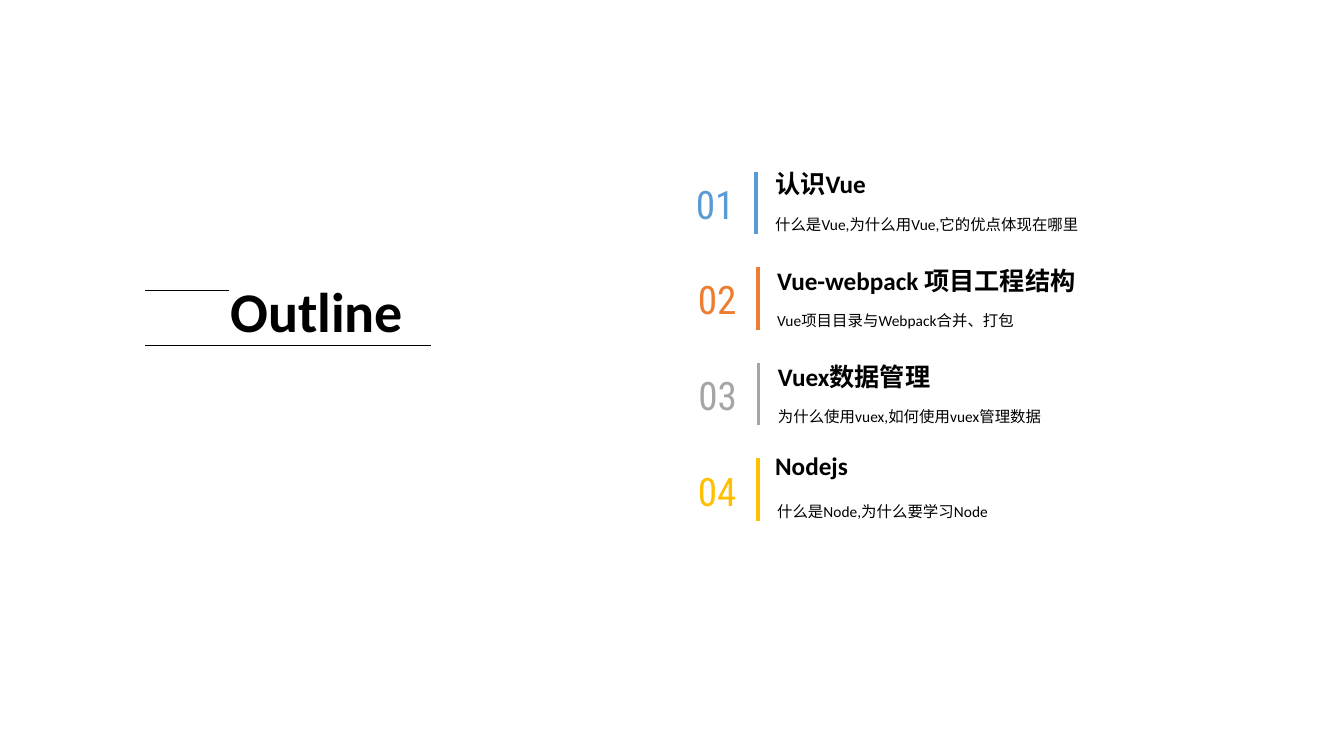
"""Builds an outline slide with four numbered chapters."""
from lxml import etree
from pptx import Presentation
from pptx.dml.color import RGBColor
from pptx.enum.shapes import MSO_CONNECTOR
from pptx.enum.text import MSO_ANCHOR, PP_ALIGN
from pptx.oxml.ns import qn
from pptx.util import Pt

STRAIGHT = MSO_CONNECTOR.STRAIGHT
TOP, MIDDLE, BOTTOM = MSO_ANCHOR.TOP, MSO_ANCHOR.MIDDLE, MSO_ANCHOR.BOTTOM
LEFT, CENTER = PP_ALIGN.LEFT, PP_ALIGN.CENTER
BLACK = "000000"

HEADING = "Outline"
HEADING_RULES = [(103.7, 163.4, 207.4), (103.7, 307.6, 247)]

# number, colour, title, description, number width, bar x, title x, description x, title bottom
CHAPTERS = [
    ("01", "5B9BD5", "认识Vue", "什么是Vue,为什么用Vue,它的优点体现在哪里", 36.7, 540, 546.6, 546.6, 23),
    ("02", "ED7D31", "Vue-webpack 项目工程结构", "Vue项目目录与Webpack合并、打包", 39.6, 541.4, 548, 548, 23.8),
    ("03", "A5A5A5", "Vuex数据管理", "为什么使用vuex,如何使用vuex管理数据", 40.3, 541.8, 548.6, 548.6, 23.8),
    ("04", "FFC000", "Nodejs", "什么是Node,为什么要学习Node", 39.6, 541.4, 546.6, 548, 19.4),
]
FIRST_TOP, PITCH, BAR_HEIGHT = 122.6, 68.3, 44.6
NUMBER_LEFT, TEXT_WIDTH, TITLE_HEIGHT = 492.5, 284.4, 30.2


def color(value):
    return RGBColor.from_string(value)


def add_text(slide, text, left, top, width, height, size, fill=BLACK, font="Calibri",
             bold=False, align=LEFT, anchor=TOP, spacing=1.0, wrap=True, side_margin=7.2):
    frame = slide.shapes.add_textbox(Pt(left), Pt(top), Pt(width), Pt(height)).text_frame
    frame.word_wrap = wrap
    frame.vertical_anchor = anchor
    frame.margin_left = frame.margin_right = Pt(side_margin)
    paragraph = frame.paragraphs[0]
    paragraph.alignment = align
    paragraph.line_spacing = spacing
    run = paragraph.add_run()
    run.text = text
    run.font.name = font
    run.font.size = Pt(size)
    run.font.bold = bold
    run.font.color.rgb = color(fill)


def add_line(slide, x1, y1, x2, y2, fill, width):
    line = slide.shapes.add_connector(STRAIGHT, Pt(x1), Pt(y1), Pt(x2), Pt(y2))
    line.line.color.rgb = color(fill)
    line.line.width = Pt(width)
    etree.SubElement(line._element.spPr, qn("a:effectLst"))


def add_chapter(slide, top, chapter):
    number, accent, title, description, number_width, bar_x, title_x, text_x, title_bottom = chapter
    add_text(slide, number, NUMBER_LEFT, top + 3, number_width, 39.6, 28, fill=accent,
             font="Roboto Condensed", align=CENTER, anchor=MIDDLE, wrap=False, side_margin=0)
    add_line(slide, bar_x, top, bar_x, top + BAR_HEIGHT, accent, 2.25)
    add_text(slide, description, text_x, top + 23.8, TEXT_WIDTH, 26.6, 11, spacing=1.3)
    add_text(slide, title, title_x, top + title_bottom - TITLE_HEIGHT, TEXT_WIDTH,
             TITLE_HEIGHT, 18, bold=True, anchor=BOTTOM,
             spacing=0.9 if number == "01" else 1.0)


def main():
    presentation = Presentation()
    presentation.slide_width, presentation.slide_height = Pt(960), Pt(540)
    slide = presentation.slides.add_slide(presentation.slide_layouts[6])
    for start, end, y in HEADING_RULES:
        add_line(slide, start, y, end, y, BLACK, 0.5)
    add_text(slide, HEADING, 157.4, 193.7, 150, 56.2, 40, bold=True, anchor=MIDDLE)
    for index, chapter in enumerate(CHAPTERS):
        add_chapter(slide, FIRST_TOP + index * PITCH, chapter)
    presentation.save("out.pptx")


if __name__ == "__main__":
    main()
